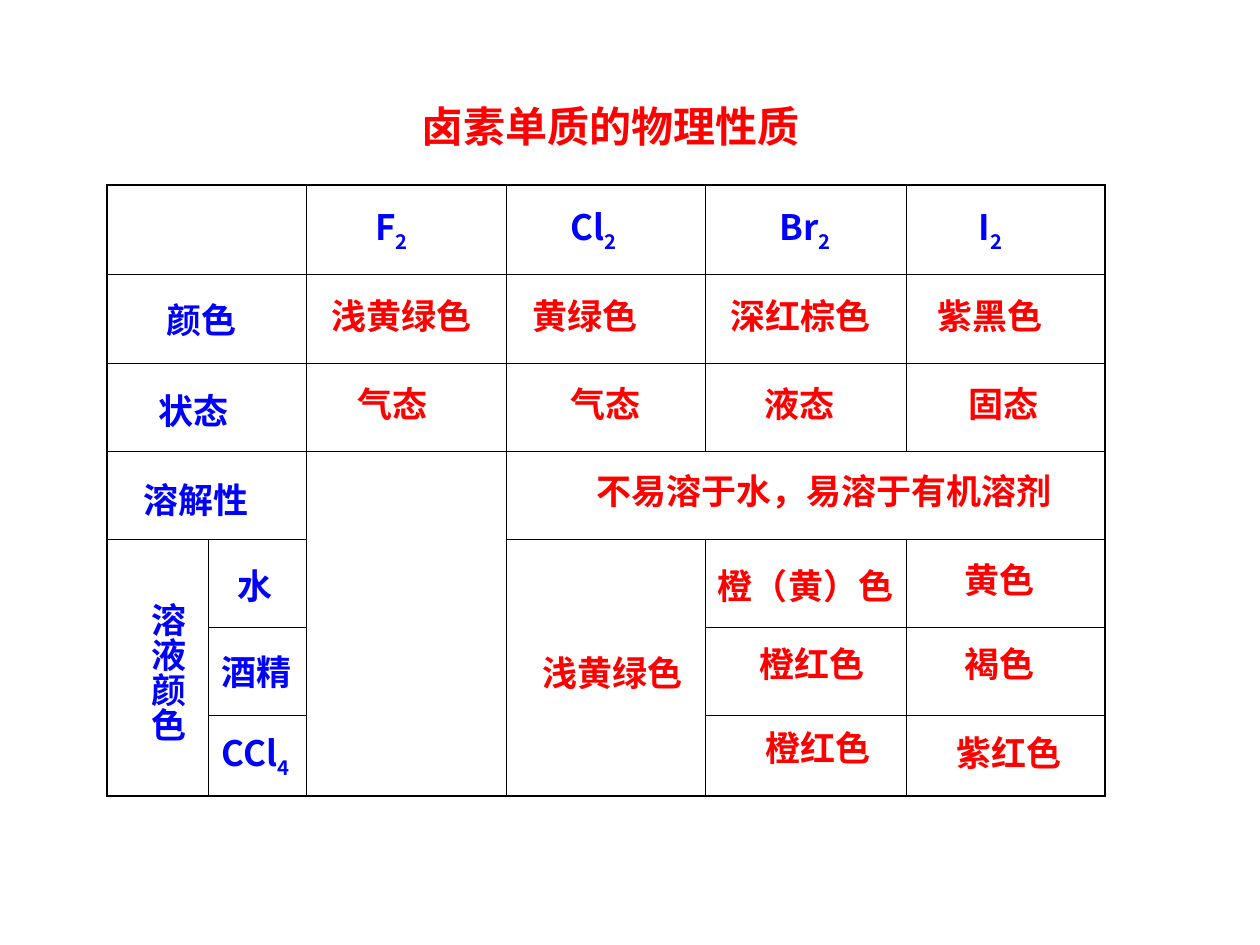
from dataclasses import dataclass
from itertools import product
from lxml.etree import SubElement
from pptx import Presentation
from pptx.dml.color import RGBColor
from pptx.enum.text import MSO_AUTO_SIZE, PP_ALIGN
from pptx.oxml.ns import qn
from pptx.util import Inches, Pt


@dataclass(frozen=True)
class Theme:
    """Hold the colours, type sizes and line widths."""
    font: str = "Noto Sans CJK SC"
    label: str = "0000FF"
    value: str = "FF0000"
    line: str = "000000"
    title: int = 24
    body: int = 20
    thin: float = 0.45
    thick: float = 1.08


LOOK = Theme()
COLS, ROWS = 100, 75
UNIT = Inches(0.1)
WIDTHS = [8, 7.8, 15.9, 15.8, 15.9, 15.8]
HEIGHTS = [7.1, 7, 7, 7, 7, 7, 6.4]
SPANS = [((row, 0), (row, 1)) for row in range(4)] + [
    ((3, 2), (6, 2)), ((3, 3), (3, 5)), ((4, 0), (6, 0)), ((4, 3), (6, 3))]
BANDS = [
    (0.4, 5.6, LOOK.label, {"line_spacing": 1.2}, [
        ("F_2", 20.3, 9.9), ("Cl_2", 35.8, 9.3),
        ("Br_2", 52.4, 9.3), ("I_2", 68.2, 8.3)]),
    (8.2, 4.4, LOOK.value, {}, [
        ("浅黄绿色", 16.8, 16.9), ("黄绿色", 32.8, 16.9),
        ("深红棕色", 48.5, 17.2), ("紫黑色", 64.9, 13.9)]),
    (15.2, 4.4, LOOK.value, {}, [
        ("气态", 18.9, 10.5), ("气态", 35.8, 10.5),
        ("液态", 51.2, 10.9), ("固态", 67.4, 11.1)])]
HEADS = [
    ("颜色", 3.7, 8.5, 7.8), ("状态", 3.1, 15.7, 10.7),
    ("溶解性", 1.9, 22.8, 12.9), ("水", 9.4, 29.6, 9.2),
    ("酒精", 8.1, 36.4, 9.1), ("CCl_4", 8.1, 42.9, 9.5)]
SIDE = [("浅黄绿色", 33.6, 36.5, 15.2), ("橙（黄）色", 47.5, 29.6, 22.3)]
MID = [
    ("橙红色", 47.4, 35.8, 17.1), ("橙红色", 47.7, 42.5, 17.5),
    ("黄色", 64.4, 29.1, 12.8), ("紫红色", 64.1, 42.9, 14.9),
    ("褐色", 64.3, 35.8, 13), ("不易溶于水，易溶于有机溶剂", 32.1, 22.1, 49.6)]


def scale(*spots):
    """Turn grid units into slide lengths."""
    return [round(spot * UNIT) for spot in spots]


def style(item, form):
    """Set each named format value on the item."""
    for name, value in form.items():
        setattr(item, name, value)


def write(slide, box, words, tint, size=LOOK.body, form=None, turn=False):
    """Place one line of bold text, with a subscript after an underscore."""
    shape = slide.shapes.add_textbox(*scale(*box))
    frame = shape.text_frame
    wide, slim = scale(1, 0.5)
    side, edge = (slim, wide) if turn else (wide, slim)
    style(frame, {"word_wrap": True, "auto_size": MSO_AUTO_SIZE.SHAPE_TO_FIT_TEXT,
                  "margin_left": side, "margin_right": side,
                  "margin_top": edge, "margin_bottom": edge})
    if turn:
        frame._txBody.bodyPr.set("vert", "eaVert")
    para = frame.paragraphs[0]
    style(para, form or {})
    for index, part in enumerate(words.split("_")):
        run = para.add_run()
        run.text = part
        style(run.font, {"name": LOOK.font, "size": Pt(size), "bold": True})
        run.font.color.rgb = RGBColor.from_string(tint)
        props = run._r.get_or_add_rPr()
        SubElement(props, qn("a:ea"), typeface=LOOK.font)
        if index:
            props.set("baseline", "-25000")


def border(cell, row, col):
    """Draw thick lines on the table's rim and thin ones inside."""
    high = cell.span_height if cell.is_merge_origin else 1
    wide = cell.span_width if cell.is_merge_origin else 1
    rims = {"L": col == 0, "R": col + wide == len(WIDTHS),
            "T": row == 0, "B": row + high == len(HEIGHTS)}
    props = cell._tc.get_or_add_tcPr()
    for side, rim in rims.items():
        width = Pt(LOOK.thick if rim else LOOK.thin)
        line = SubElement(props, qn("a:ln" + side), w=str(int(width)))
        fill = SubElement(line, qn("a:solidFill"))
        SubElement(fill, qn("a:srgbClr"), val=LOOK.line)


def grid(slide, box):
    """Build the ruled table with its merged cells in the box."""
    table = slide.shapes.add_table(len(HEIGHTS), len(WIDTHS), *scale(*box)).table
    style(table, {"first_row": False, "horz_banding": False})
    for col, width in zip(table.columns, WIDTHS):
        col.width = round(box[2] * UNIT * width / sum(WIDTHS))
    for row, height in zip(table.rows, HEIGHTS):
        row.height = round(box[3] * UNIT * height / sum(HEIGHTS))
    for start, end in SPANS:
        table.cell(*start).merge(table.cell(*end))
    for row, col in product(range(len(HEIGHTS)), range(len(WIDTHS))):
        cell = table.cell(row, col)
        border(cell, row, col)
        cell.fill.background()


def labels(slide, box):
    """Set the row heads and values over the table's box."""
    left, top = box[:2]
    for drop, high, tint, form, items in BANDS:
        for words, shift, wide in items:
            write(slide, (left + shift, top + drop, wide, high), words, tint, form=form)
    center = {"alignment": PP_ALIGN.CENTER}
    for items, tint, form in ((HEADS, LOOK.label, {}), (SIDE, LOOK.value, {}),
                              (MID, LOOK.value, center)):
        for words, shift, drop, wide in items:
            write(slide, (left + shift, top + drop, wide, 4.4), words, tint, form=form)
    write(slide, (left + 1.7, top + 32.1, 5.3, 16.7), "溶液颜色", LOOK.label,
          form=center, turn=True)


def main():
    """Build and save the slide."""
    deck = Presentation()
    style(deck, {"slide_width": COLS * UNIT, "slide_height": ROWS * UNIT})
    slide = deck.slides.add_slide(deck.slide_layouts[6])
    box = (8.5, 14.7, 79.2, 48.5)
    grid(slide, box)
    labels(slide, box)
    write(slide, (32.5, 7.5, 40, 5), "卤素单质的物理性质", LOOK.value, LOOK.title)
    deck.save("out.pptx")


if __name__ == "__main__":
    main()
